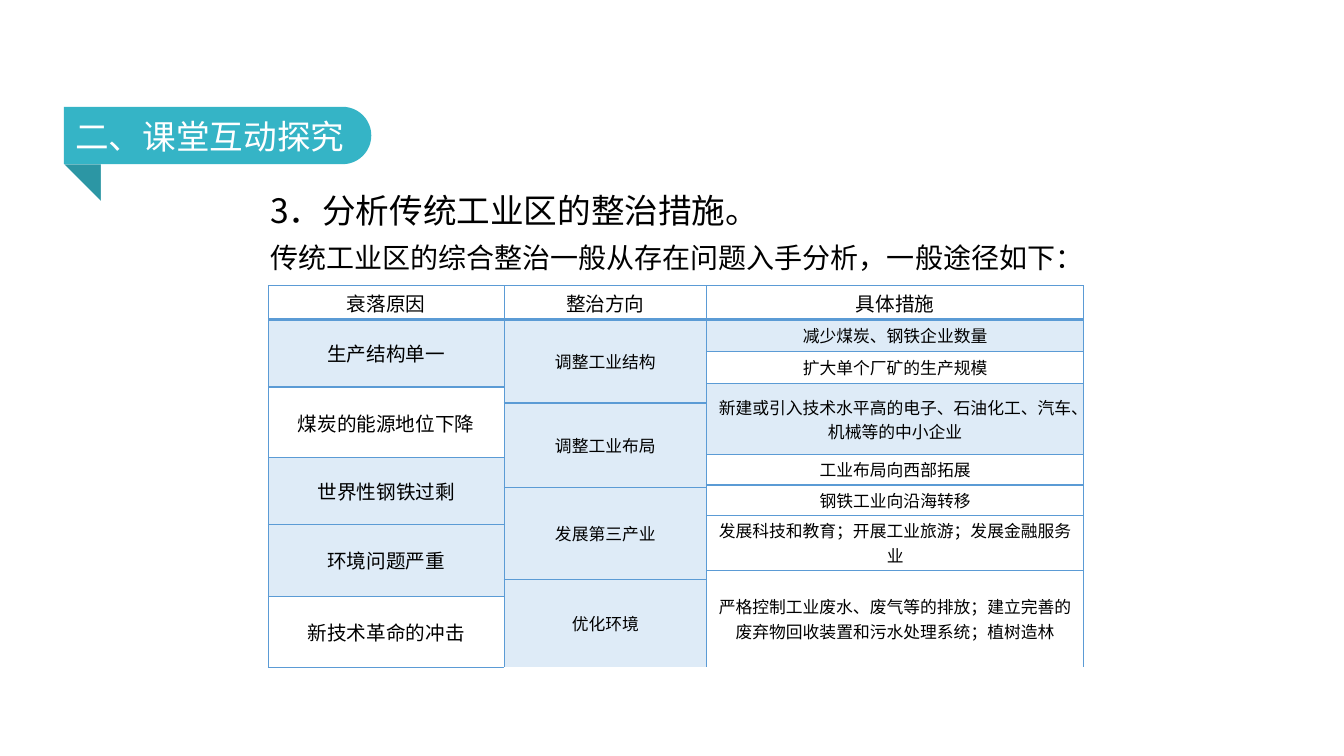
import pptx
import pptx.dml.color
import pptx.enum.shapes
import pptx.enum.text
import pptx.oxml
import pptx.oxml.ns
import pptx.util
from dataclasses import dataclass

Pt = pptx.util.Pt
RGB = pptx.dml.color.RGBColor.from_string
Shape = pptx.enum.shapes.MSO_SHAPE


@dataclass(frozen=True)
class Theme:
    font: str = "Noto Sans CJK SC"
    black: str = "000000"
    white: str = "FFFFFF"
    teal: str = "35B4C6"
    dark_teal: str = "2C96A4"
    grid: str = "5B9BD5"
    pale_blue: str = "DEEBF7"
    title: int = 24
    lead: int = 20
    cell_large: int = 14
    cell_small: int = 12


theme = Theme()


def style(para, text, size, color):
    para.text = text
    para.font.size = Pt(size)
    para.font.name = theme.font
    para.font.color.rgb = RGB(color)
    properties = para.font.fill._xPr
    east_asian = pptx.oxml.parse_xml(
        f'<a:ea {pptx.oxml.ns.nsdecls("a")} typeface="{theme.font}"/>')
    properties.find(pptx.oxml.ns.qn("a:latin")).addnext(east_asian)


def add_border(cell, side, width):
    cell._tc.get_or_add_tcPr().append(pptx.oxml.parse_xml(
        f'<a:ln{side} {pptx.oxml.ns.nsdecls("a")} w="{Pt(width)}">'
        f'<a:solidFill><a:srgbClr val="{theme.grid}"/></a:solidFill></a:ln{side}>'))


deck = pptx.Presentation()
deck.slide_width, deck.slide_height = Pt(960), Pt(540)
page = deck.slides.add_slide(deck.slide_layouts[6])

# Ribbon fold, white panel and ribbon
for kind, left, top, width, height, rotation, adjustments, color in [
    (Shape.RIGHT_TRIANGLE, 46, 117.4, 28.8, 28.8, 180, [], theme.dark_teal),
    (Shape.ROUNDED_RECTANGLE, 72, 46.8, 816.5, 446.4, 0, [0.06], theme.white),
    (Shape.ROUND_2_SAME_RECTANGLE, 134.9, -13, 41, 219.6, 90, [0.5, 0], theme.teal),
]:
    shape = page.shapes.add_shape(kind, Pt(left), Pt(top), Pt(width), Pt(height))
    shape.rotation = rotation
    for index, value in enumerate(adjustments):
        shape.adjustments[index] = value
    shape.shadow.inherit = False
    shape.fill.solid()
    shape.fill.fore_color.rgb = RGB(color)
    shape.line.fill.background()

# Question and lead sentence
box = page.shapes.add_textbox(Pt(185.8), Pt(118), Pt(588.2), Pt(82.8))
box.text_frame.word_wrap = True
question = box.text_frame.paragraphs[0]
question.line_spacing = 1.5
style(question, "3．分析传统工业区的整治措施。", theme.title, theme.black)
lead = box.text_frame.add_paragraph()
lead.line_spacing = 0.9
lead.space_before = Pt(10)
style(lead, "传统工业区的综合整治一般从存在问题入手分析，一般途径如下：",
      theme.lead, theme.black)

# Section title on the ribbon
box = page.shapes.add_textbox(Pt(46.8), Pt(79.2), Pt(208), Pt(36))
box.text_frame.word_wrap = False
style(box.text_frame.paragraphs[0], "二、课堂互动探究", theme.title, theme.white)

# Table: each column lists its text, number of rows and whether it is shaded
columns = [
    (168.4, theme.cell_large, [
        ("衰落原因", 1, False), ("生产结构单一", 3, True),
        ("煤炭的能源地位下降", 3, False), ("世界性钢铁过剩", 4, True),
        ("环境问题严重", 3, True), ("新技术革命的冲击", 1, False)]),
    (144.7, theme.cell_small, [
        ("整治方向", 1, False), ("调整工业结构", 4, True), ("调整工业布局", 4, True),
        ("发展第三产业", 4, True), ("优化环境", 2, True)]),
    (269.3, theme.cell_small, [
        ("具体措施", 1, False), ("减少煤炭、钢铁企业数量", 1, True),
        ("扩大单个厂矿的生产规模", 1, False),
        ("新建或引入技术水平高的电子、石油化工、汽车、机械等的中小企业", 3, True),
        ("工业布局向西部拓展", 2, False), ("钢铁工业向沿海转移", 2, False),
        ("发展科技和教育；开展工业旅游；发展金融服务业", 2, False),
        ("严格控制工业废水、废气等的排放；建立完善的废弃物回收装置和污水处理系统；植树造林",
         3, False)]),
]
row_heights = [24, 23, 23, 2.5, 11.5, 36.5, 2.5, 19.4, 2, 19.6, 6.8, 32.5, 6.8, 11.8, 51]

table = page.shapes.add_table(
    len(row_heights), len(columns), Pt(191.7), Pt(204.1),
    Pt(sum(width for width, _, _ in columns)), Pt(sum(row_heights))).table
table.first_row = table.horz_banding = False
for row, height in zip(table.rows, row_heights):
    row.height = Pt(height)

for column, (width, size, entries) in enumerate(columns):
    table.columns[column].width = Pt(width)
    first = 0
    for text, span, shaded in entries:
        last = first + span - 1
        for row in range(first, last + 1):
            cell = table.cell(row, column)
            cell.margin_top = cell.margin_bottom = 0
            add_border(cell, "L", 1)
            add_border(cell, "R", 1)
            if row == first:
                add_border(cell, "T", 2 if row == 1 else 1)
            if row == last:
                add_border(cell, "B", 2 if row == 0 else 1)
            if shaded:
                cell.fill.solid()
                cell.fill.fore_color.rgb = RGB(theme.pale_blue)
            else:
                cell.fill.background()
        cell = table.cell(first, column)
        if span > 1:
            cell.merge(table.cell(last, column))
        cell.vertical_anchor = pptx.enum.text.MSO_ANCHOR.MIDDLE
        para = cell.text_frame.paragraphs[0]
        para.alignment = pptx.enum.text.PP_ALIGN.CENTER
        style(para, text, theme.cell_large if first == 0 else size, theme.black)
        first += span

deck.save("out.pptx")
